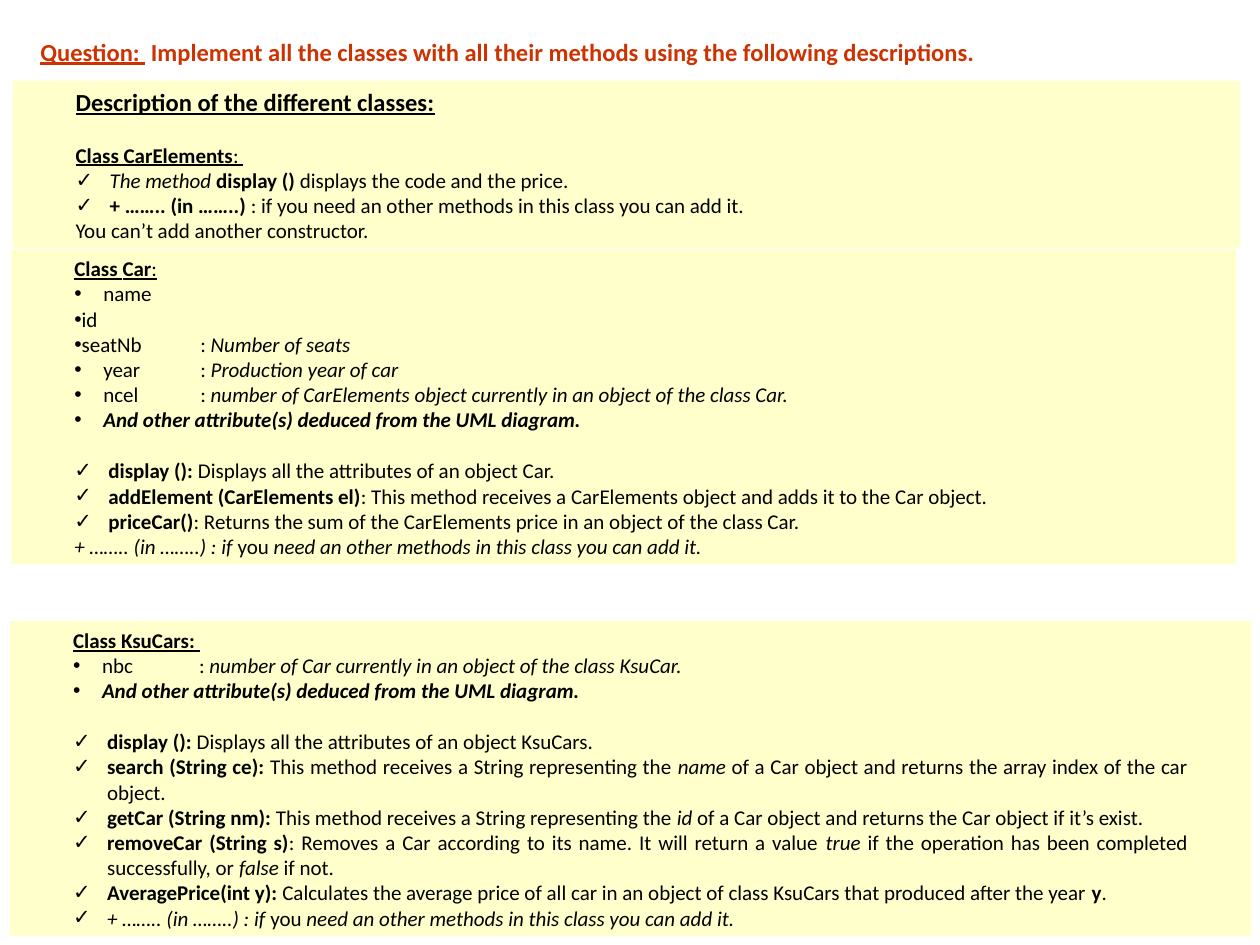
from lxml.etree import SubElement
from pptx import Presentation
from pptx.dml.color import RGBColor
from pptx.enum.text import MSO_ANCHOR as Anchor, MSO_AUTO_SIZE as Fit, PP_ALIGN as Align
from pptx.oxml.ns import qn
from pptx.util import Inches, Pt

CHECK, DOT = ("✓", 0.27), ("•", 0.23)
TIGHT = ("•", 0)
LINE = 14.65

# A line is (mark, runs, size, gap before); a run is (text, style letters b, i, u).


def head(*runs, size=12, gap=0):
    return None, runs, size, gap


def item(mark, *runs, gap=0):
    return mark, runs, 12, gap


def color(code):
    return RGBColor.from_string(code)


class Page:
    font, ink, paper, accent = "Calibri", "000000", "FFFFCC", "CC3300"

    def __init__(self, slide):
        self.slide = slide

    def place(self, idx, left, top, width, height):
        box = self.slide.placeholders[idx]
        box.left, box.top = Inches(left), Inches(top)
        box.width, box.height = Inches(width), Inches(height)
        frame = box.text_frame
        frame.word_wrap = True
        frame.auto_size = Fit.NONE
        frame.vertical_anchor = Anchor.TOP
        return box

    def fill_line(self, para, runs, size, ink):
        for text, style in runs:
            run = para.add_run()
            run.text = text
            font = run.font
            font.name, font.size = self.font, Pt(size)
            font.bold, font.italic = "b" in style, "i" in style
            font.underline = "u" in style
            font.color.rgb = color(ink)

    def mark(self, para, mark):
        """Set the bullet, its hanging indent and the tab before the colons."""
        props = para._p.get_or_add_pPr()
        sign, hang = mark or (None, 0)
        props.set("marL", str(Inches(hang)))
        props.set("indent", str(-Inches(hang)))
        if not sign:
            SubElement(props, qn("a:buNone"))
            return
        SubElement(props, qn("a:buFont"), typeface="Arial")
        SubElement(props, qn("a:buChar"), char=sign)
        tabs = SubElement(props, qn("a:tabLst"))
        SubElement(tabs, qn("a:tab"), pos=str(Inches(1)), algn="l")

    def title(self, area, runs):
        para = self.place(0, *area).text_frame.paragraphs[0]
        para.alignment = Align.LEFT
        self.fill_line(para, runs, 14, self.accent)

    def panel(self, idx, area, lines):
        box = self.place(idx, *area)
        box.fill.solid()
        box.fill.fore_color.rgb = color(self.paper)
        frame = box.text_frame
        frame.margin_left = frame.margin_right = Inches(0.5)
        for n, (mark, runs, size, gap) in enumerate(lines):
            para = frame.add_paragraph() if n else frame.paragraphs[0]
            para.alignment = Align.JUSTIFY if mark else Align.LEFT
            para.space_before = Pt(gap)
            self.mark(para, mark)
            self.fill_line(para, runs, size, self.ink)

    def drop(self, idx):
        node = self.slide.placeholders[idx].element
        node.getparent().remove(node)


OTHERS = (("+ …….. (in ……..) : if ", "i"), ("you", ""),
          (" need an other methods in this class you can add it.", "i"))
DEDUCED = item(DOT, ("And other attribute(s) deduced from the UML diagram.", "bi"))

ELEMENTS = [
    head(("Description of the different classes:", "bu"), size=14),
    head(("Class CarElements", "bu"), (": ", "u"), gap=LINE),
    item(CHECK, ("The method ", "i"), ("display () ", "b"),
         ("displays the code and the price.", "")),
    item(CHECK, ("+ …….. (in ……..) ", "b"),
         (": if you need an other methods in this class you can add it.", "")),
    head(("You can’t add another constructor.", "")),
]

CAR = [
    head(("Class", "bu"), (" ", "u"), ("Car", "bu"), (":", "u")),
    item(DOT, ("name", "")),
    item(TIGHT, ("id", "")),
    item(TIGHT, ("seatNb\t: ", ""), ("Number of seats", "i")),
    item(DOT, ("year\t: ", ""), ("Production year of car", "i")),
    item(DOT, ("ncel\t: ", ""),
         ("number of CarElements object currently in an object of the class Car.", "i")),
    DEDUCED,
    item(CHECK, ("display ():", "b"),
         (" Displays all the attributes of an object Car.", ""), gap=LINE),
    item(CHECK, ("addElement (CarElements el)", "b"),
         (": This method receives a CarElements object and adds it to the Car object.", "")),
    item(CHECK, ("priceCar()", "b"),
         (": Returns the sum of the CarElements price in an object of the class Car.", "")),
    head(*OTHERS),
]

CARS = [
    head(("Class KsuCars: ", "bu")),
    item(DOT, ("nbc\t: ", ""),
         ("number of Car currently in an object of the class KsuCar.", "i")),
    DEDUCED,
    item(CHECK, ("display ():", "b"),
         (" Displays all the attributes of an object KsuCars.", ""), gap=LINE),
    item(CHECK, ("search (String ce):", "b"),
         (" This method receives a String representing the ", ""), ("name", "i"),
         (" of a Car object and returns the array index of the car object.", "")),
    item(CHECK, ("getCar (String nm):", "b"),
         (" This method receives a String representing the ", ""), ("id", "i"),
         (" of a Car object and returns the Car object if it’s exist.", "")),
    item(CHECK, ("removeCar (String s)", "b"),
         (": Removes a Car according to its name. It will return a value ", ""),
         ("true", "i"), (" if the operation has been completed successfully, or ", ""),
         ("false", "i"), (" if not.", "")),
    item(CHECK, ("AveragePrice(int y): ", "b"),
         ("Calculates the average price of all car in an object of class KsuCars "
          "that produced after the year ", ""), ("y", "b"), (".", "")),
    item(CHECK, *OTHERS),
]


def main():
    deck = Presentation()
    deck.slide_width, deck.slide_height = Inches(10), Inches(7.5)
    layout = deck.slide_layouts.get_by_name("Comparison")
    page = Page(deck.slides.add_slide(layout))
    page.title((0.22, 0.24, 8.35, 0.33), [
        ("Question: ", "bu"),
        (" Implement all the classes with all their methods "
         "using the following descriptions.", "b")])
    page.panel(1, (0.1, 0.64, 9.74, 1.33), ELEMENTS)
    page.panel(2, (0.09, 1.98, 9.72, 2.5), CAR)
    page.panel(3, (0.08, 4.93, 9.85, 2.5), CARS)
    page.drop(4)
    deck.save("out.pptx")


if __name__ == "__main__":
    main()
